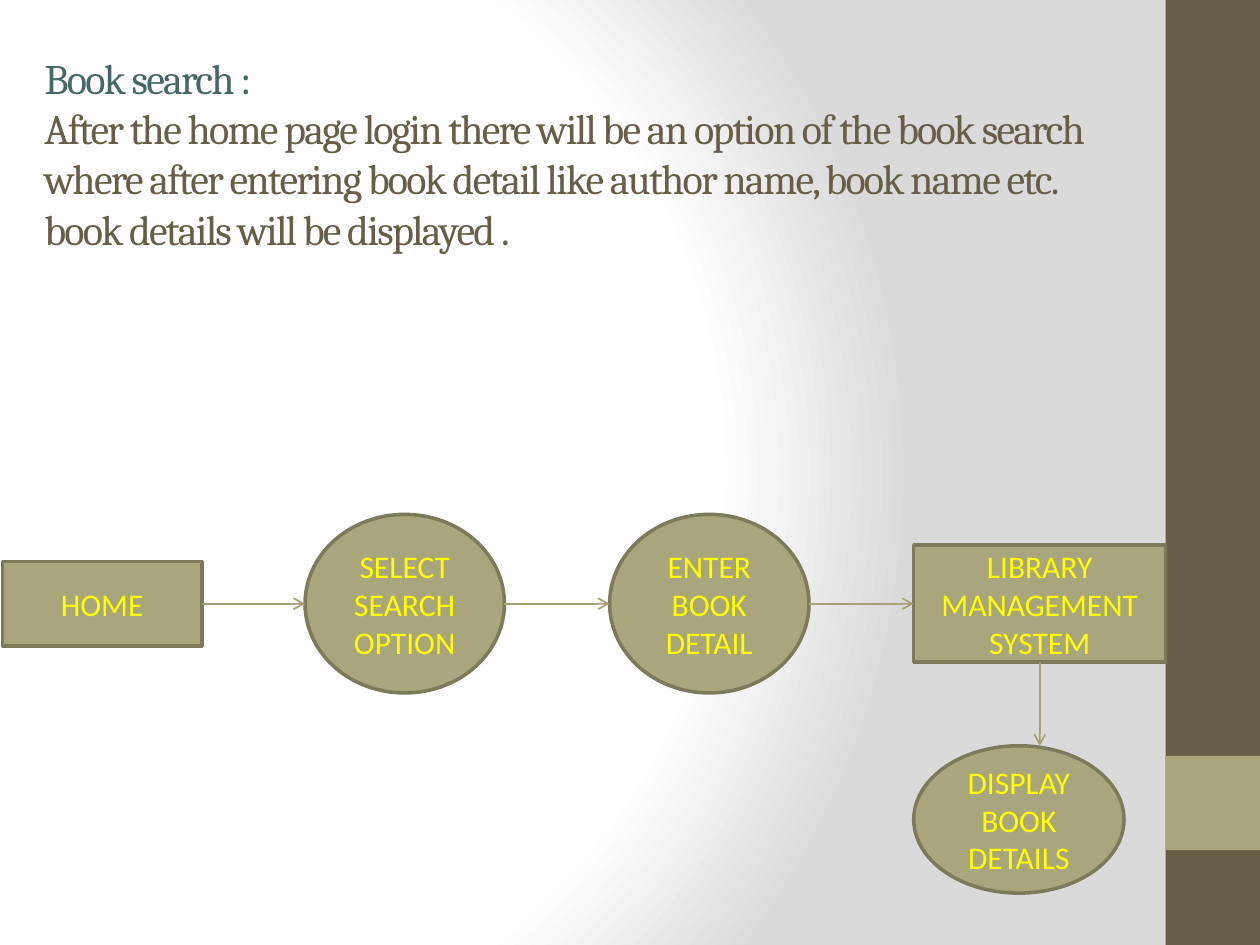
from lxml import etree
from pptx import Presentation
from pptx.dml.color import RGBColor
from pptx.enum.shapes import MSO_CONNECTOR, MSO_SHAPE
from pptx.enum.text import MSO_ANCHOR, MSO_AUTO_SIZE, PP_ALIGN
from pptx.oxml import parse_xml
from pptx.oxml.ns import nsdecls, qn
from pptx.util import Cm, Pt

RECT, OVAL = MSO_SHAPE.RECTANGLE, MSO_SHAPE.OVAL
BROWN, OLIVE, OLIVE_EDGE, ARROW = "675E47", "A9A57C", "7D7A5C", "A6A278"
TEAL, YELLOW = "456867", "FFFF00"
ROW_MIDDLE = 12.17
# label, shape, left, vertical middle, width, height (cm)
STEPS = [
    ("HOME", RECT, 0.05, ROW_MIDDLE, 4.02, 1.7),
    ("SELECT SEARCH OPTION", OVAL, 6.15, ROW_MIDDLE, 4.02, 3.6),
    ("ENTER BOOK DETAIL", OVAL, 12.29, ROW_MIDDLE, 4.02, 3.6),
    ("LIBRARY MANAGEMENT SYSTEM", RECT, 18.42, ROW_MIDDLE, 5.08, 2.36),
    ("DISPLAY BOOK DETAILS", OVAL, 18.42, 16.52, 4.24, 2.97),
]


def rgb(value):
    """Turn a hex string into a colour."""
    return RGBColor.from_string(value)


def set_background(page):
    """Fill the page with a circular white-to-grey gradient."""
    stops = "".join(
        f'<a:gs pos="{place * 1000}"><a:srgbClr val="{colour}"/></a:gs>'
        for place, colour in [(0, "FFFFFF"), (75, "FFFFFF"), (100, "DADADA")])
    background = parse_xml(
        f'<p:bg {nsdecls("p", "a")}><p:bgPr><a:gradFill rotWithShape="1">'
        f'<a:gsLst>{stops}</a:gsLst><a:path path="circle">'
        '<a:fillToRect l="20000" t="50000" r="100000" b="50000"/></a:path>'
        '</a:gradFill><a:effectLst/></p:bgPr></p:bg>')
    page.element.cSld.insert(0, background)


def add_run(para, text, font, size, colour):
    """Add one formatted run and return it."""
    run = para.add_run()
    run.text = text
    run.font.name = font
    run.font.size = Pt(size)
    run.font.color.rgb = rgb(colour)
    return run


def add_box(page, kind, left, top, width, height, fill, edge=None):
    """Add a flat filled shape, outlined when an edge colour is given."""
    box = page.shapes.add_shape(kind, Cm(left), Cm(top), Cm(width), Cm(height))
    box.shadow.inherit = False
    box.fill.solid()
    box.fill.fore_color.rgb = rgb(fill)
    if edge:
        box.line.color.rgb = rgb(edge)
        box.line.width = Pt(2)
    else:
        box.line.fill.background()
    return box


def add_step(page, label, kind, left, middle, width, height):
    """Add one labelled step of the flow."""
    box = add_box(page, kind, left, middle - height / 2, width, height,
                  OLIVE, OLIVE_EDGE)
    frame = box.text_frame
    frame.word_wrap = True
    frame.vertical_anchor = MSO_ANCHOR.MIDDLE
    para = frame.paragraphs[0]
    para.alignment = PP_ALIGN.CENTER
    add_run(para, label, "Calibri", 18, YELLOW)


def add_arrow(page, start_x, start_y, end_x, end_y):
    """Add a thin straight arrow."""
    arrow = page.shapes.add_connector(
        MSO_CONNECTOR.STRAIGHT, Cm(start_x), Cm(start_y), Cm(end_x), Cm(end_y))
    arrow.line.color.rgb = rgb(ARROW)
    arrow.line.width = Pt(1)
    etree.SubElement(arrow.line._get_or_add_ln(), qn("a:tailEnd"), type="arrow")
    etree.SubElement(arrow._element.spPr, qn("a:effectLst"))


def set_title(page, heading, body):
    """Place the title and write its heading and body lines."""
    title = page.shapes.title
    title.left, title.top = Cm(0.64), Cm(0.64)
    title.width, title.height = Cm(22.22), Cm(4.88)
    frame = title.text_frame
    frame.word_wrap = True
    frame.auto_size = MSO_AUTO_SIZE.NONE
    frame.vertical_anchor = MSO_ANCHOR.MIDDLE
    para = frame.paragraphs[0]
    para.alignment = PP_ALIGN.LEFT
    first = add_run(para, heading, "Cambria", 24, TEAL)
    para.add_line_break()
    line_break = para._p.find(qn("a:br"))
    etree.SubElement(line_break, qn("a:rPr"), sz="2400")
    second = add_run(para, body, "Cambria", 24, BROWN)
    for run in (first, second):
        run._r.get_or_add_rPr().set("spc", "-100")


def main():
    """Build the slide and save it."""
    deck = Presentation()
    deck.slide_width, deck.slide_height = Cm(25.4), Cm(19.05)
    page = deck.slides.add_slide(deck.slide_layouts[5])
    set_background(page)
    add_box(page, RECT, 23.5, 0, 1.9, 19.05, BROWN)
    add_box(page, RECT, 23.5, 15.24, 1.9, 1.9, OLIVE)
    set_title(page, "Book search :",
              "After the home page login there will be an option of the book "
              "search where after entering book detail like author name, book "
              "name etc. book details will be displayed .")
    for step in STEPS:
        add_step(page, *step)
    row = STEPS[:4]
    for (_, _, left, _, width, _), following in zip(row, row[1:]):
        add_arrow(page, left + width, ROW_MIDDLE, following[2], ROW_MIDDLE)
    _, _, left, middle, width, height = STEPS[3]
    _, _, _, display_middle, _, display_height = STEPS[4]
    add_arrow(page, left + width / 2, middle + height / 2,
              left + width / 2, display_middle - display_height / 2)
    deck.save("out.pptx")


main()
